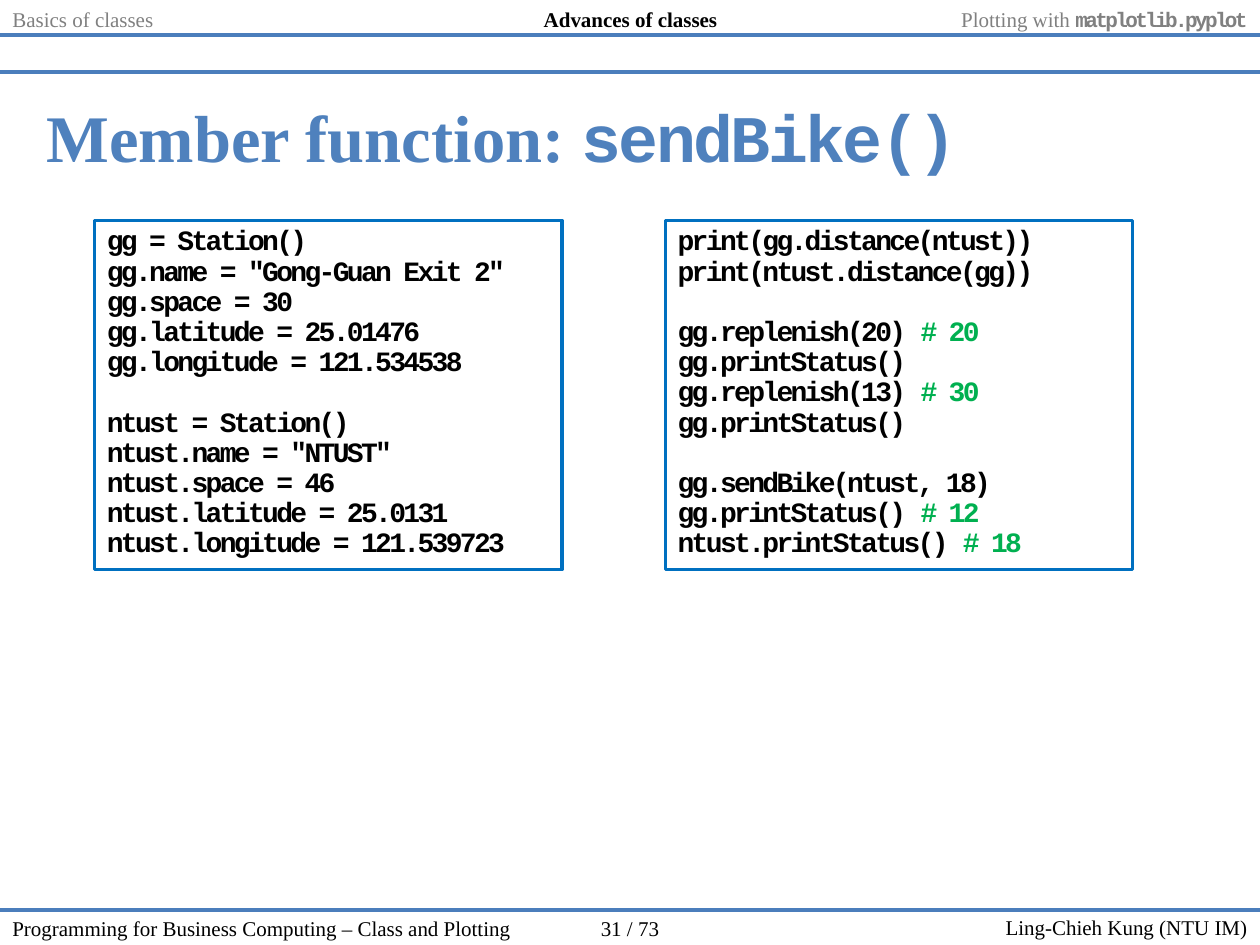
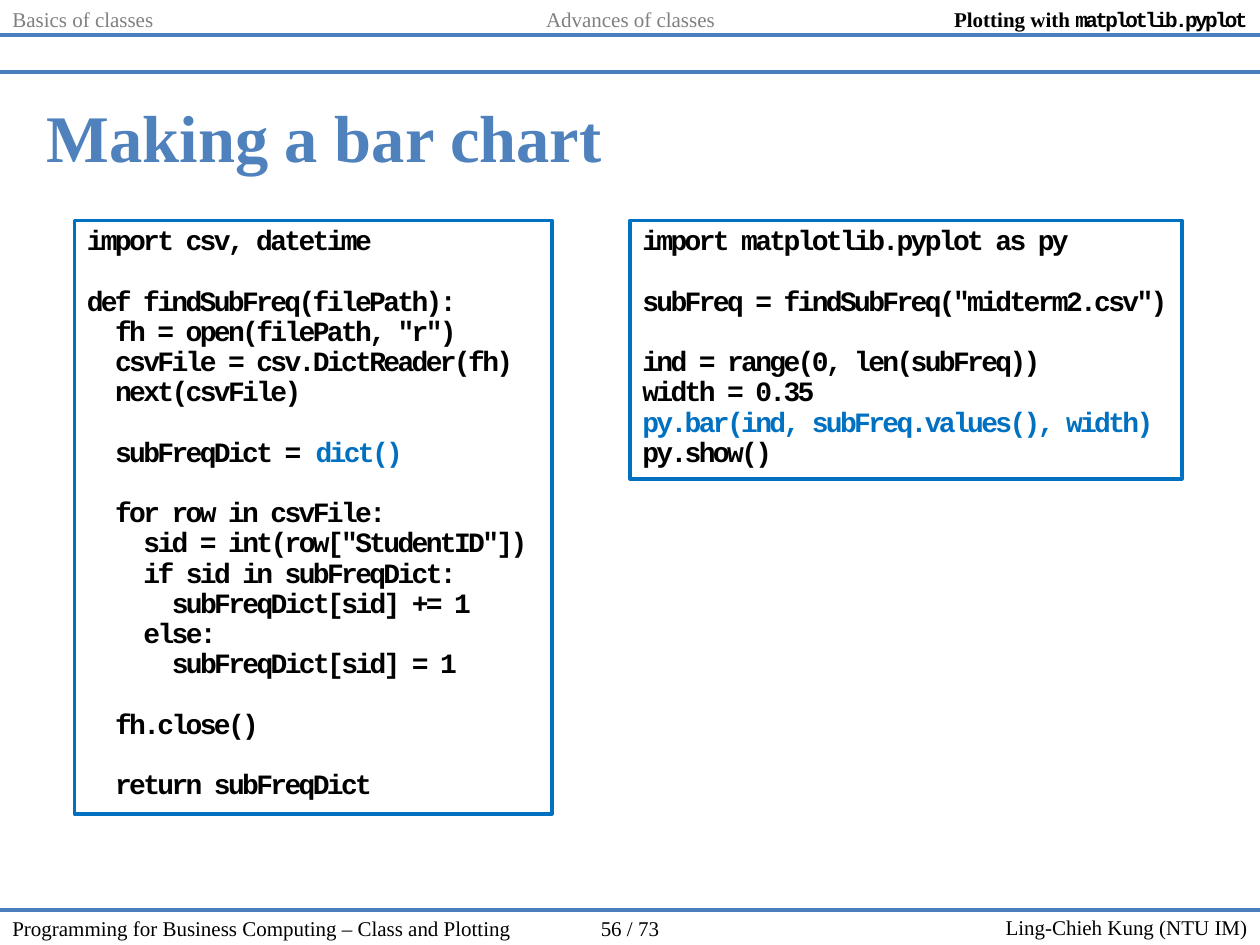
from pptx import Presentation
from pptx.dml.color import RGBColor
from pptx.enum.shapes import MSO_CONNECTOR, MSO_SHAPE
from pptx.enum.text import MSO_ANCHOR, PP_ALIGN
from pptx.oxml.ns import qn
from pptx.util import Inches, Pt
from lxml.etree import SubElement

SERIF = "Times New Roman"
MONO = "Courier New"
BLACK, WHITE, GRAY = "000000", "FFFFFF", "808080"
TITLE_BLUE, RULE_BLUE, CODE_BLUE, GREEN = "4F81BD", "4B7EBC", "0070C0", "00B050"

PAGE_WIDTH = 10
BAND_HEIGHT = 0.28
FOOTER_TOP = 7.22
RULE_TOPS = (BAND_HEIGHT, 0.57, FOOTER_TOP)
CODE_TOP = 1.75
CODE_LINE = Pt(17.25)
CODE_CHARACTER = Pt(8.1)

SECTIONS = (
    ((0, 3.35), PP_ALIGN.LEFT, "Basics of classes", ""),
    ((3.35, 3.31), PP_ALIGN.CENTER, "Advances of classes", ""),
    ((6.65, 3.35), PP_ALIGN.RIGHT, "Plotting with ", "matplotlib.pyplot"),
)

STATION_SETUP = """
gg = Station()
gg.name = "Gong-Guan Exit 2"
gg.space = 30
gg.latitude = 25.01476
gg.longitude = 121.534538

ntust = Station()
ntust.name = "NTUST"
ntust.space = 46
ntust.latitude = 25.0131
ntust.longitude = 121.539723
"""

STATION_USE = """
print(gg.distance(ntust))
print(ntust.distance(gg))

gg.replenish(20) |# 20
gg.printStatus()
gg.replenish(13) |# 30
gg.printStatus()

gg.sendBike(ntust, 18)
gg.printStatus() |# 12
ntust.printStatus() |# 18
"""

COUNT_SUBMISSIONS = """
import csv, datetime

def findSubFreq(filePath):
  fh = open(filePath, "r")
  csvFile = csv.DictReader(fh)
  next(csvFile)

  subFreqDict = |dict()

  for row in csvFile:
    sid = int(row["StudentID"])
    if sid in subFreqDict:
      subFreqDict[sid] += 1
    else:
      subFreqDict[sid] = 1

  fh.close()

  return subFreqDict
"""

DRAW_BARS = """
import matplotlib.pyplot as py

subFreq = findSubFreq("midterm2.csv")

ind = range(0, len(subFreq))
width = 0.35
|py.bar(ind, subFreq.values(), width)
py.show()
"""


def rgb(value):
    """Turn a hex string into a colour."""
    return RGBColor.from_string(value)


def add_span(para, text, size, color, font=SERIF, bold=False):
    """Append a formatted run, with tight letter spacing for code."""
    span = para.add_run()
    span.text = text
    span.font.size = Pt(size)
    span.font.name = font
    span.font.bold = bold
    span.font.color.rgb = rgb(color)
    if font == MONO:
        span.font._element.set("spc", "-150")


def add_label(page, box, align, anchor=MSO_ANCHOR.TOP):
    """Add an empty text box and return its paragraph."""
    frame = page.shapes.add_textbox(*map(Inches, box)).text_frame
    frame.word_wrap = True
    frame.vertical_anchor = anchor
    para = frame.paragraphs[0]
    para.alignment = align
    return para


def add_rules(page):
    """Draw the full-width rules of the header and footer."""
    for top in RULE_TOPS:
        rule = page.shapes.add_connector(
            MSO_CONNECTOR.STRAIGHT, 0, Inches(top), Inches(PAGE_WIDTH), Inches(top))
        rule.line.color.rgb = rgb(RULE_BLUE)
        rule.line.width = Pt(2.25)
        SubElement(rule._element.spPr, qn("a:effectLst"))


def add_header(page, current):
    """Name the sections and stress the current one."""
    for index, ((left, width), align, text, code) in enumerate(SECTIONS):
        active = index == current
        color = BLACK if active else GRAY
        para = add_label(page, (left, 0, width, BAND_HEIGHT), align)
        add_span(para, text, 12, color, bold=active)
        if code:
            add_span(para, code, 12, color, MONO, True)


def add_footer(page, number):
    """Write the course, the page number and the lecturer."""
    parts = (
        (0, 4.53, PP_ALIGN.LEFT, MSO_ANCHOR.TOP,
         "Programming for Business Computing – Class and Plotting"),
        (4.53, 0.94, PP_ALIGN.CENTER, MSO_ANCHOR.TOP, f"{number} / 73"),
        (5.47, 4.53, PP_ALIGN.RIGHT, MSO_ANCHOR.MIDDLE, "Ling-Chieh Kung (NTU IM)"),
    )
    for left, width, align, anchor, text in parts:
        para = add_label(page, (left, FOOTER_TOP, width, BAND_HEIGHT), align, anchor)
        add_span(para, text, 12, BLACK)


def set_title(page, text, code):
    """Place and fill the title, with an optional code ending."""
    title = page.shapes.title
    title.left, title.top, title.width, title.height = map(Inches, (0.27, 0.6, 9.53, 0.95))
    title.text_frame.vertical_anchor = MSO_ANCHOR.MIDDLE
    para = title.text_frame.paragraphs[0]
    para.alignment = PP_ALIGN.LEFT
    add_span(para, text, 38, TITLE_BLUE, bold=True)
    if code:
        add_span(para, code, 38, TITLE_BLUE, MONO, True)


def add_code(page, box, listing, accent):
    """Frame a listing; text after a bar takes the accent colour."""
    panel = page.shapes.add_shape(MSO_SHAPE.RECTANGLE, *map(Inches, box))
    panel.shadow.inherit = False
    panel.fill.solid()
    panel.fill.fore_color.rgb = rgb(WHITE)
    panel.line.color.rgb = rgb(CODE_BLUE)
    panel.line.width = Pt(2)
    frame = panel.text_frame
    frame.word_wrap = True
    frame.vertical_anchor = MSO_ANCHOR.TOP
    para, gap = frame.paragraphs[0], 0
    for index, line in enumerate(listing.strip().splitlines()):
        code = line.lstrip()
        if not code:
            gap = CODE_LINE
            continue
        if index:
            para = frame.add_paragraph()
        para.alignment = PP_ALIGN.LEFT
        para.line_spacing = 0.9
        para.space_before = gap
        gap = 0
        indent = (len(line) - len(code)) * CODE_CHARACTER
        para._p.get_or_add_pPr().set("marL", str(indent))
        plain, _, stressed = code.partition("|")
        for text, color in ((plain, BLACK), (stressed, accent)):
            if text:
                add_span(para, text, 16, color, MONO, True)


def add_code_page(deck, number, section, title, panels, accent):
    """Build one page with code panels given by left, width, height and listing."""
    page = deck.slides.add_slide(deck.slide_layouts[5])
    add_rules(page)
    add_footer(page, number)
    set_title(page, *title)
    for left, width, height, listing in panels:
        add_code(page, (left, CODE_TOP, width, height), listing, accent)
    add_header(page, section)


def main():
    """Build and save the deck."""
    deck = Presentation()
    deck.slide_width, deck.slide_height = Inches(PAGE_WIDTH), Inches(7.5)
    add_code_page(deck, 31, 1, ("Member function: ", "sendBike()"),
                  ((0.75, 3.71, 2.77, STATION_SETUP), (5.28, 3.71, 2.77, STATION_USE)), GREEN)
    add_code_page(deck, 56, 2, ("Making a bar chart", ""),
                  ((0.59, 3.79, 4.71, COUNT_SUBMISSIONS), (5, 4.38, 2.05, DRAW_BARS)), CODE_BLUE)
    deck.save("out.pptx")


if __name__ == "__main__":
    main()
